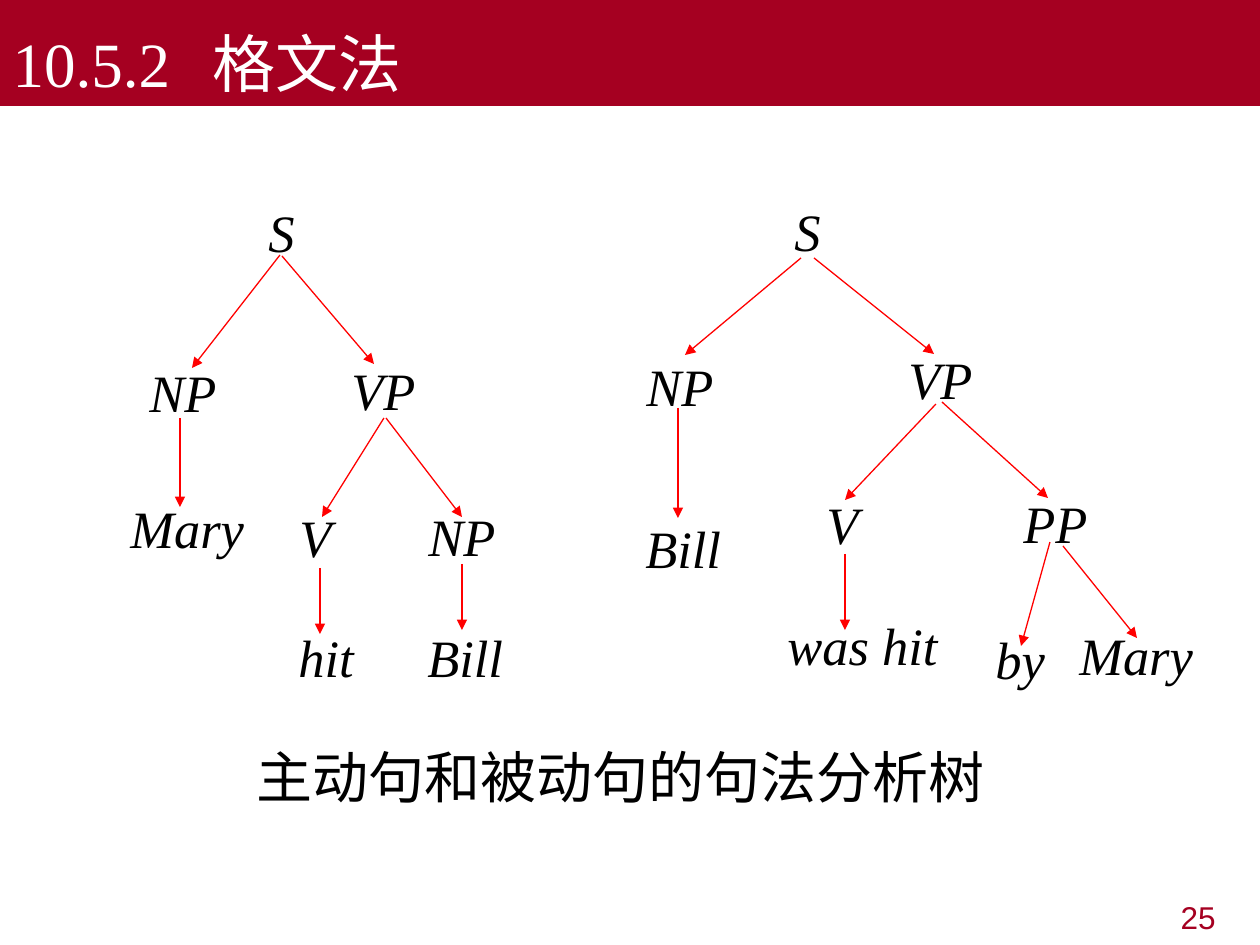
from dataclasses import dataclass

from lxml import etree
from pptx import Presentation
from pptx.dml.color import RGBColor
from pptx.enum.shapes import MSO_CONNECTOR
from pptx.enum.text import MSO_ANCHOR, MSO_AUTO_SIZE, PP_ALIGN
from pptx.oxml.ns import qn
from pptx.util import Pt

STRAIGHT = MSO_CONNECTOR.STRAIGHT
LEFT, RIGHT, JUSTIFY = PP_ALIGN.LEFT, PP_ALIGN.RIGHT, PP_ALIGN.JUSTIFY
TOP, BOTTOM = MSO_ANCHOR.TOP, MSO_ANCHOR.BOTTOM
NO_AUTOFIT = MSO_AUTO_SIZE.NONE

EMU_PER_PX = 914400 / 126
SLIDE_WIDTH, SLIDE_HEIGHT = 1260, 945
TITLE_ONLY_LAYOUT = 5
NODE_HEIGHT = 76
HEADING_TAB = 200


@dataclass(frozen=True)
class Theme:
    crimson: str = "A50021"
    white: str = "FFFFFF"
    black: str = "000000"
    arrow: str = "FF0000"
    serif: str = "Times New Roman"
    sans: str = "Arial"
    heading_size: int = 36
    caption_size: int = 32
    node_size: int = 30
    number_size: int = 18
    arrow_width: float = 0.75


THEME = Theme()

# Each node: label, (left, top, width), arrow from its parent, children.
ACTIVE_TREE = ("S", (256, 194, 44), None, [
    ("NP", (137, 354, 102), (280, 255, 192, 368), [
        ("Mary", (118, 490, 140), (180, 418, 180, 507), []),
    ]),
    ("VP", (339, 352, 102), (282, 256, 374, 364), [
        ("V", (287, 499, 52), (384, 418, 322, 517), [
            ("hit", (286, 619, 102), (320, 568, 320, 634), []),
        ]),
        ("NP", (416, 498, 102), (386, 418, 462, 517), [
            ("Bill", (415, 619, 116), (462, 564, 462, 630), []),
        ]),
    ]),
])
PASSIVE_TREE = ("S", (782, 193, 50), None, [
    ("NP", (634, 348, 102), (801, 258, 685, 355), [
        ("Bill", (633, 510, 116), (678, 408, 678, 518), []),
    ]),
    ("VP", (896, 341, 102), (814, 258, 934, 354), [
        ("V", (814, 486, 52), (936, 404, 845, 500), [
            ("was hit", (775, 607, 180), (845, 554, 845, 630), []),
        ]),
        ("PP", (1011, 485, 102), (942, 402, 1048, 498), [
            ("by", (983, 621, 84), (1050, 542, 1021, 646), []),
            ("Mary", (1067, 617, 140), (1063, 546, 1137, 638), []),
        ]),
    ]),
])


def px(length):
    return round(length * EMU_PER_PX)


def write_text(shape, text, *, size, color, font=THEME.serif, italic=False,
               align=LEFT, anchor=TOP, wrap=True, tab=None):
    frame = shape.text_frame
    frame.auto_size = NO_AUTOFIT
    frame.word_wrap = wrap
    frame.vertical_anchor = anchor
    paragraph = frame.paragraphs[0]
    paragraph.alignment = align
    if tab is not None:
        tabs = etree.SubElement(paragraph._p.get_or_add_pPr(), qn("a:tabLst"))
        etree.SubElement(tabs, qn("a:tab"), pos=str(px(tab)), algn="l")
    run = paragraph.add_run()
    run.text = text
    run.font.name = font
    run.font.size = Pt(size)
    run.font.italic = italic
    run.font.color.rgb = RGBColor.from_string(color)


def add_text(slide, box, text, **text_format):
    write_text(slide.shapes.add_textbox(*map(px, box)), text, **text_format)


def add_heading(slide, text):
    heading = slide.shapes.title
    heading.left, heading.top = 0, 0
    heading.width, heading.height = px(SLIDE_WIDTH), px(106)
    heading.fill.solid()
    heading.fill.fore_color.rgb = RGBColor.from_string(THEME.crimson)
    write_text(heading, text, size=THEME.heading_size, color=THEME.white,
               anchor=BOTTOM, tab=HEADING_TAB)


def add_arrow(slide, ends):
    arrow = slide.shapes.add_connector(STRAIGHT, *map(px, ends))
    arrow.line.color.rgb = RGBColor.from_string(THEME.arrow)
    arrow.line.width = Pt(THEME.arrow_width)
    etree.SubElement(arrow.line._get_or_add_ln(), qn("a:tailEnd"), type="triangle")
    etree.SubElement(arrow._element.spPr, qn("a:effectLst"))


def add_tree(slide, node):
    """Draw a node with the arrow that leads to it, then its subtrees."""
    label, place, arrow_ends, children = node
    add_text(slide, (*place, NODE_HEIGHT), label, size=THEME.node_size,
             color=THEME.black, italic=True, align=JUSTIFY)
    if arrow_ends:
        add_arrow(slide, arrow_ends)
    for child in children:
        add_tree(slide, child)


def main():
    presentation = Presentation()
    presentation.slide_width = px(SLIDE_WIDTH)
    presentation.slide_height = px(SLIDE_HEIGHT)
    layout = presentation.slide_layouts[TITLE_ONLY_LAYOUT]
    slide = presentation.slides.add_slide(layout)

    add_heading(slide, "10.5.2\t格文法")
    for tree in (ACTIVE_TREE, PASSIVE_TREE):
        add_tree(slide, tree)
    add_text(slide, (244, 736, 754, 81), "主动句和被动句的句法分析树",
             size=THEME.caption_size, color=THEME.black, align=JUSTIFY, wrap=False)
    add_text(slide, (955, 892, 273, 49), "25", size=THEME.number_size,
             color=THEME.crimson, font=THEME.sans, align=RIGHT)

    presentation.save("out.pptx")


if __name__ == "__main__":
    main()
